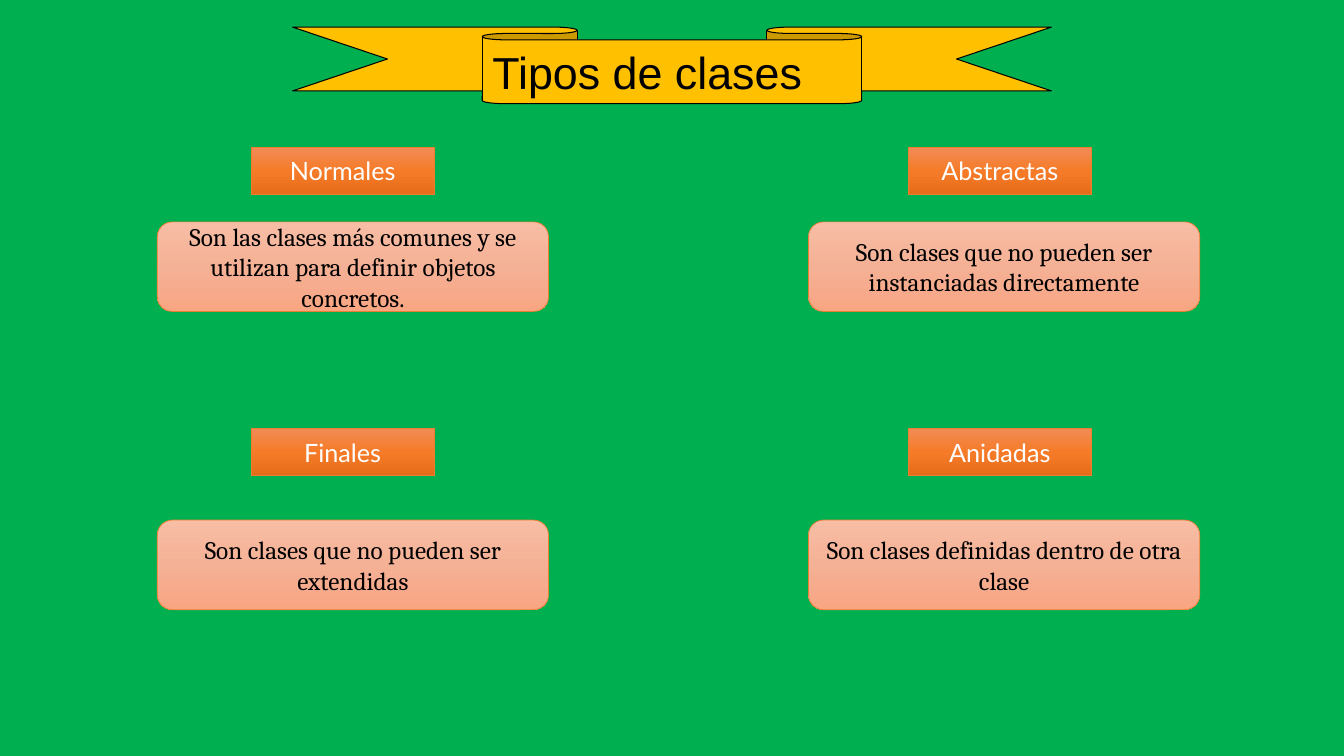
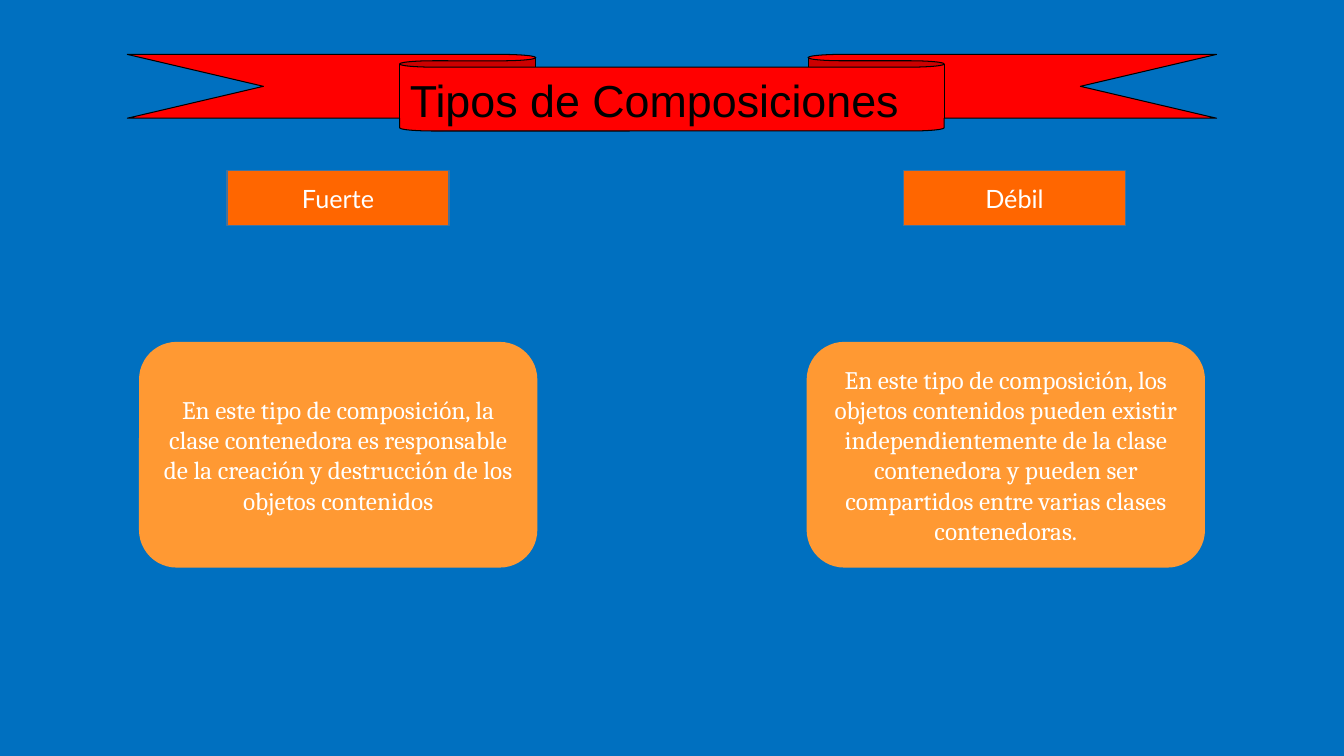
from copy import deepcopy

from pptx import Presentation
from pptx.dml.color import RGBColor
from pptx.enum.shapes import MSO_SHAPE
from pptx.enum.text import MSO_ANCHOR, MSO_AUTO_SIZE, PP_ALIGN
from pptx.oxml.ns import qn
from pptx.util import Pt

RECTANGLE = MSO_SHAPE.RECTANGLE
ROUNDED = MSO_SHAPE.ROUNDED_RECTANGLE
RIBBON = MSO_SHAPE.DOWN_RIBBON
TOP, MIDDLE = MSO_ANCHOR.TOP, MSO_ANCHOR.MIDDLE
LEFT, CENTER = PP_ALIGN.LEFT, PP_ALIGN.CENTER
NO_AUTOFIT = MSO_AUTO_SIZE.NONE

SLIDE_WIDTH, SLIDE_HEIGHT = 960, 540
RIBBON_HEIGHT = 54.7
RIBBON_FOLD = RIBBON_HEIGHT / 6
TITLE_ONLY = 5
BLACK, WHITE = "000000", "FFFFFF"

SLIDES = [
    {
        "title": "Tipos de clases",
        "background": "00B050",
        "ribbon": {"top": 19.4, "width": 542, "fill": "FFC000"},
        "label": {
            "kind": RECTANGLE, "size": (131, 33.8),
            "lefts": (179.3, 648.7), "tops": (105.2, 306),
            "fill": ("F18C57", "F67B28", "E56C19"), "line": ("ED7D31", 0.5),
            "font": ("Lato", 18, WHITE),
        },
        "card": {
            "kind": ROUNDED, "size": (279.5, 64),
            "lefts": (112.4, 577.5), "tops": (158.5, 371.5),
            "fill": ("F7BDA5", "F5B196", "F8A582"), "line": ("ED7D31", 0.5),
            "font": ("Cambria", 18, BLACK),
        },
        "items": [
            ("Normales", "Son las clases más comunes y se utilizan para definir objetos concretos."),
            ("Abstractas", "Son clases que no pueden ser instanciadas directamente"),
            ("Finales", "Son clases que no pueden ser extendidas"),
            ("Anidadas", "Son clases definidas dentro de otra clase"),
        ],
    },
    {
        "title": "Tipos de Composiciones",
        "background": "0070C0",
        "ribbon": {"top": 38.9, "width": 778, "fill": "FF0000"},
        "label": {
            "kind": RECTANGLE, "size": (158.5, 39.5),
            "lefts": (162.2, 645.4), "tops": (121.8,),
            "fill": ("FF6600",), "line": ("43739E", 1),
            "font": ("Lato", 18, WHITE),
        },
        "card": {
            "kind": ROUNDED, "size": (284.5, 161.2),
            "lefts": (99.3, 576.2), "tops": (244.2,),
            "fill": ("FF9933",), "line": None,
            "font": ("Cambria", 18, WHITE),
        },
        "items": [
            ("Fuerte", "En este tipo de composición, la clase contenedora es responsable "
                       "de la creación y destrucción de los objetos contenidos"),
            ("Débil", "En este tipo de composición, los objetos contenidos pueden existir "
                      "independientemente de la clase contenedora y pueden ser compartidos "
                      "entre varias clases contenedoras."),
        ],
    },
]


def color(value):
    return RGBColor.from_string(value)


def paint(shape, colors):
    fill = shape.fill
    if len(colors) == 1:
        fill.solid()
        fill.fore_color.rgb = color(colors[0])
        return
    fill.gradient()
    fill.gradient_angle = 270
    stop_list = next(shape.element.iter(qn("a:gsLst")))
    for _ in range(len(colors) - len(stop_list)):
        stop_list.append(deepcopy(stop_list[0]))
    for index, (stop, value) in enumerate(zip(fill.gradient_stops, colors)):
        stop.position = index / (len(colors) - 1)
        stop.color.rgb = color(value)


def write(shape, text, font, align, anchor):
    frame = shape.text_frame
    frame.text = text
    frame.word_wrap = True
    frame.auto_size = NO_AUTOFIT
    frame.vertical_anchor = anchor
    para = frame.paragraphs[0]
    para.alignment = align
    span = para.runs[0]
    span.font.name, span.font.size = font[0], Pt(font[1])
    span.font.color.rgb = color(font[2])


def add_box(page, kind, left, top, width, height, colors, line):
    box = page.shapes.add_shape(kind, Pt(left), Pt(top), Pt(width), Pt(height))
    box.shadow.inherit = False
    paint(box, colors)
    if line:
        box.line.color.rgb = color(line[0])
        box.line.width = Pt(line[1])
    else:
        box.line.fill.background()
    return box


def add_title(page, text, top, width, fill):
    ribbon = add_box(page, RIBBON, (SLIDE_WIDTH - width) / 2, top, width,
                     RIBBON_HEIGHT, (fill,), (BLACK, 0.75))
    title = page.shapes.title
    title.left, title.top = Pt((SLIDE_WIDTH - width / 2) / 2), Pt(top + RIBBON_FOLD)
    title.width, title.height = Pt(width / 2), Pt(RIBBON_HEIGHT - RIBBON_FOLD)
    write(title, text, ("Arial", 32, BLACK), LEFT, TOP)
    ribbon.element.addnext(title.element)


def add_grid(page, style, texts):
    columns = len(style["lefts"])
    for index, text in enumerate(texts):
        row, column = divmod(index, columns)
        box = add_box(page, style["kind"], style["lefts"][column], style["tops"][row],
                      *style["size"], style["fill"], style["line"])
        write(box, text, style["font"], CENTER, MIDDLE)


def main():
    deck = Presentation()
    deck.slide_width, deck.slide_height = Pt(SLIDE_WIDTH), Pt(SLIDE_HEIGHT)
    for content in SLIDES:
        page = deck.slides.add_slide(deck.slide_layouts[TITLE_ONLY])
        page.background.fill.solid()
        page.background.fill.fore_color.rgb = color(content["background"])
        add_title(page, content["title"], **content["ribbon"])
        labels, descriptions = zip(*content["items"])
        add_grid(page, content["label"], labels)
        add_grid(page, content["card"], descriptions)
    deck.save("out.pptx")


if __name__ == "__main__":
    main()
